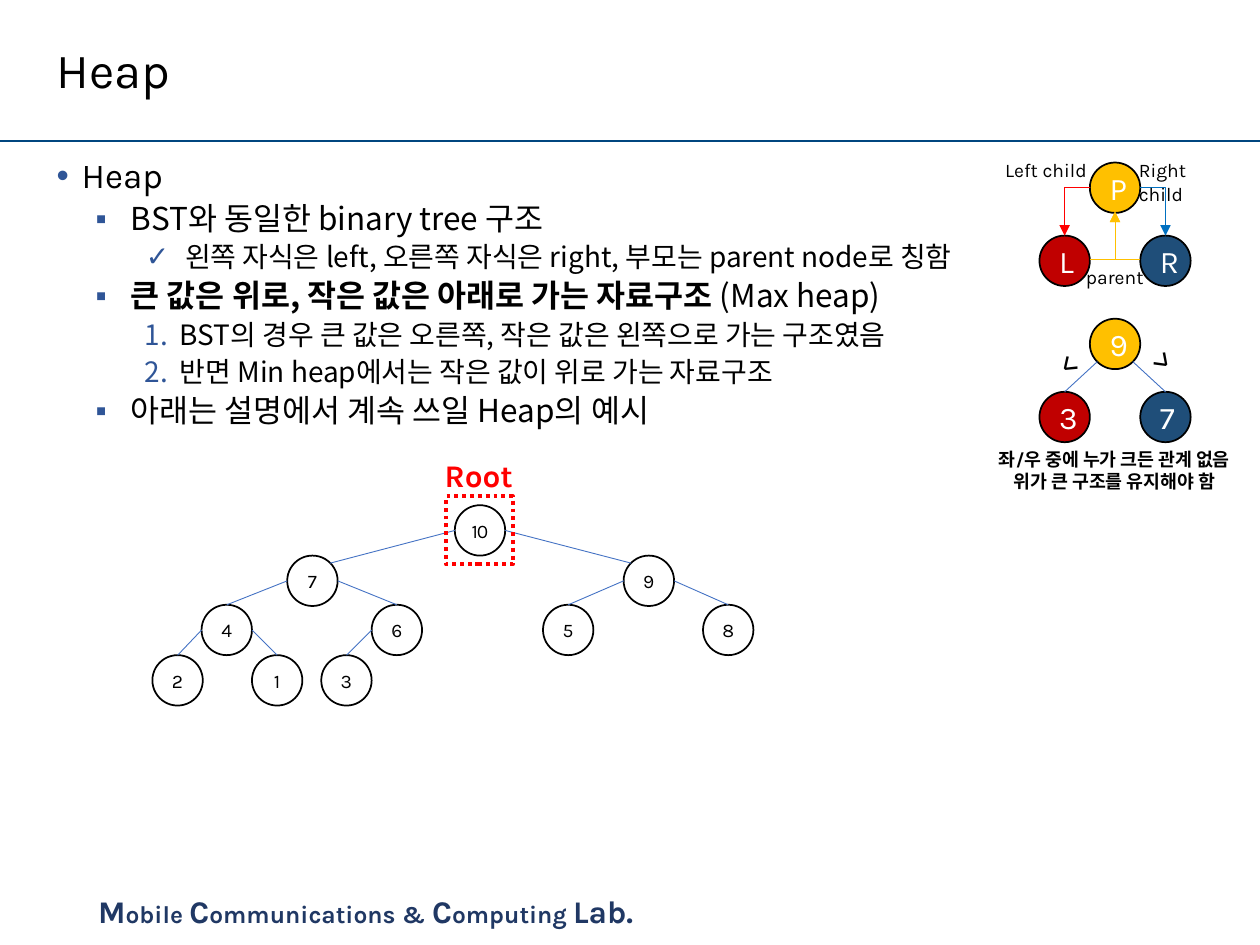
from lxml import etree
from pptx import Presentation
from pptx import util as u
from pptx.dml.color import RGBColor
from pptx.enum import dml, shapes, text
from pptx.oxml.ns import qn

BLACK = RGBColor(0x00, 0x00, 0x00)
WHITE = RGBColor(0xFF, 0xFF, 0xFF)
NAVY = RGBColor(0x20, 0x38, 0x64)
RULE_BLUE = RGBColor(0x00, 0x46, 0x7F)
EDGE_BLUE = RGBColor(0x44, 0x72, 0xC4)
ARROW_BLUE = RGBColor(0x00, 0x70, 0xC0)
DARK_BLUE = RGBColor(0x1F, 0x4E, 0x79)
YELLOW = RGBColor(0xFF, 0xC0, 0x00)
DARK_RED = RGBColor(0xC0, 0x00, 0x00)
RED = RGBColor(0xFF, 0x00, 0x00)
BULLET_COLOR = "2F5597"
LATIN, KOREAN = "Karla", "Noto Sans CJK KR"
RADIUS = 0.2


def write(paragraph, words, size=18, color=BLACK, bold=False, font=LATIN,
          align=text.PP_ALIGN.LEFT, spacing=0):
    run = paragraph.add_run()
    run.text = words
    run.font.size, run.font.bold, run.font.name = u.Pt(size), bold, font
    run.font.color.rgb = color
    properties = run.font._element
    etree.SubElement(properties, qn("a:ea"), typeface=KOREAN)
    if spacing:
        properties.set("spc", str(int(spacing * 100)))
    paragraph.alignment = align


def connect(start, end, color=EDGE_BLUE, width=0.5, arrow=False):
    line = slide.shapes.add_connector(
        shapes.MSO_CONNECTOR.ELBOW if arrow else shapes.MSO_CONNECTOR.STRAIGHT,
        *[u.Inches(value) for value in (*start, *end)])
    line.line.color.rgb = color
    line.line.width = u.Pt(width)
    properties = line._element.spPr
    if arrow:  # one bend and an arrowhead at the end
        properties.find(qn("a:prstGeom")).set("prst", "bentConnector2")
        etree.SubElement(line.line._get_or_add_ln(), qn("a:tailEnd"), type="triangle")
    etree.SubElement(properties, qn("a:effectLst"))


presentation = Presentation()
presentation.slide_width, presentation.slide_height = u.Inches(10), u.Inches(7.5)
slide = presentation.slides.add_slide(presentation.slide_layouts[5])

# Title and the rule below it
title = slide.shapes.title
title.left, title.top = u.Inches(0.35), u.Inches(0.14)
title.width, title.height = u.Inches(9.31), u.Inches(0.88)
title.text_frame.vertical_anchor = text.MSO_ANCHOR.MIDDLE
title.text_frame.paragraphs[0].line_spacing = 0.9
write(title.text_frame.paragraphs[0], "Heap", size=28)
connect((0, 1.12), (10, 1.12), RULE_BLUE, 1.5)

# Footer with large initials
footer = slide.shapes.add_textbox(u.Inches(0.68), u.Inches(7.03), u.Inches(4.53), u.Inches(0.4))
footer.text_frame.word_wrap = True
for words, size in [("M", 18), ("obile ", 14), ("C", 18), ("ommunications & ", 14),
                    ("C", 18), ("omputing ", 14), ("Lab.", 18)]:
    write(footer.text_frame.paragraphs[0], words, size=size, color=NAVY, bold=True)

# Bulleted explanation: kind, bold part, plain part
bullet_styles = {  # level, left margin, hanging indent, size, space before
    "•": (0, 0.2, 0.28, 20, 7.5),
    "▪": (1, 0.59, 0.28, 18, 3.8),
    "✓": (2, 1.02, 0.31, 16, 3.8),
    "1.": (2, 0.98, 0.28, 16, 3.8),
}
body_lines = [
    ("•", "", "Heap"),
    ("▪", "", "BST와 동일한 binary tree 구조"),
    ("✓", "", "왼쪽 자식은 left, 오른쪽 자식은 right, 부모는 parent node로 칭함"),
    ("▪", "큰 값은 위로, 작은 값은 아래로 가는 자료구조 ", "(Max heap)"),
    ("1.", "", "BST의 경우 큰 값은 오른쪽, 작은 값은 왼쪽으로 가는 구조였음"),
    ("1.", "", "반면 Min heap에서는 작은 값이 위로 가는 자료구조"),
    ("▪", "", "아래는 설명에서 계속 쓰일 Heap의 예시"),
]
body = slide.shapes.add_textbox(u.Inches(0.35), u.Inches(1.21), u.Inches(9.31), u.Inches(5.44))
body.text_frame.word_wrap = True
for index, (bullet, strong, plain) in enumerate(body_lines):
    level, margin, hanging, size, before = bullet_styles[bullet]
    paragraph = body.text_frame.add_paragraph() if index else body.text_frame.paragraphs[0]
    paragraph.level = level
    paragraph.line_spacing, paragraph.space_before = 0.9, u.Pt(before)
    font = KOREAN if level else LATIN
    if strong:
        write(paragraph, strong, size=size, bold=True, font=font)
    write(paragraph, plain, size=size, font=font)
    properties = paragraph._p.get_or_add_pPr()
    properties.set("marL", str(u.Inches(margin)))
    properties.set("indent", str(-u.Inches(hanging)))
    bullet_color = etree.SubElement(properties, qn("a:buClr"))
    etree.SubElement(bullet_color, qn("a:srgbClr"), val=BULLET_COLOR)
    if bullet == "1.":
        etree.SubElement(properties, qn("a:buFont"), typeface=KOREAN)
        etree.SubElement(properties, qn("a:buAutoNum"), type="arabicPeriod")
    else:
        etree.SubElement(properties, qn("a:buFont"), typeface="Arial")
        etree.SubElement(properties, qn("a:buChar"), char=bullet)

# Nodes: label, centre, fill (the example heap has no fill)
key_nodes = [
    (label, x, top + drop, fill)
    for top, labels in ((1.49, "PLR"), (2.73, "937"))
    for label, x, drop, fill in zip(labels, (8.85, 8.45, 9.25), (0, 0.58, 0.58),
                                    (YELLOW, DARK_RED, DARK_BLUE))
]
heap = [  # in level order, so the children of i are 2i + 1 and 2i + 2
    ("10", 3.81, 4.21), ("7", 2.48, 4.61), ("9", 5.15, 4.61),
    ("4", 1.8, 5.0), ("6", 3.15, 5.0), ("5", 4.51, 5.0), ("8", 5.78, 5.0),
    ("2", 1.41, 5.4), ("1", 2.2, 5.4), ("3", 2.75, 5.4),
]
for label, x, y, fill in key_nodes + [(*node, None) for node in heap]:
    node = slide.shapes.add_shape(
        shapes.MSO_SHAPE.OVAL, u.Inches(x - RADIUS), u.Inches(y - RADIUS),
        u.Inches(2 * RADIUS), u.Inches(2 * RADIUS))
    node.shadow.inherit = False
    node.line.color.rgb, node.line.width = BLACK, u.Pt(1)
    frame = node.text_frame
    frame.vertical_anchor = text.MSO_ANCHOR.MIDDLE
    if fill:
        node.fill.solid()
        node.fill.fore_color.rgb = fill
        write(frame.paragraphs[0], label, color=WHITE, align=text.PP_ALIGN.CENTER)
    else:
        node.fill.background()
        frame.margin_left = frame.margin_right = frame.margin_top = frame.margin_bottom = 0
        write(frame.paragraphs[0], label, size=11, align=text.PP_ALIGN.CENTER, spacing=-0.5)

# Edges of the example heap
for child in range(1, len(heap)):
    _, parent_x, parent_y = heap[(child - 1) // 2]
    _, x, y = heap[child]
    side = 1 if x > parent_x else -1
    end = (x - side * 0.14, y - 0.14) if child < 3 else (x, y - RADIUS)
    connect((parent_x + side * RADIUS, parent_y), end)

# Arrows and edges of the two small trees
for side, color in ((-1, RED), (1, ARROW_BLUE)):
    connect((8.85 + side * 0.2, 1.49), (8.85 + side * 0.4, 1.87), color, arrow=True)
    connect((8.85 + side * 0.2, 2.06), (8.85, 1.68), YELLOW, arrow=True)
    connect((8.85 + side * 0.14, 2.87), (8.85 + side * 0.4, 3.11))

# Frame around the root
root_frame = slide.shapes.add_shape(
    shapes.MSO_SHAPE.RECTANGLE, u.Inches(3.54), u.Inches(3.94), u.Inches(0.53), u.Inches(0.54))
root_frame.shadow.inherit = False
root_frame.fill.background()
root_frame.line.color.rgb, root_frame.line.width = RED, u.Pt(2.25)
root_frame.line.dash_style = dml.MSO_LINE.ROUND_DOT

# Labels: lines, box, rotation, wrap, format
centered = {"size": 10.5, "bold": True, "align": text.PP_ALIGN.CENTER}
labels = [
    (["parent"], (8.52, 2.06, 0.66, 0.29), 0, False, {"size": 11}),
    (["Left child"], (7.88, 1.21, 0.87, 0.29), 0, False, {"size": 11}),
    (["Right child"], (8.94, 1.21, 0.94, 0.29), 0, True, {"size": 11}),
    (["<"], (8.31, 2.68, 0.34, 0.4), 318.5, False, {}),
    (["<"], (9.04, 2.68, 0.34, 0.4), 223.6, False, {}),
    (["좌/우 중에 누가 크든 관계 없음", "위가 큰 구조를 유지해야 함"],
     (7.72, 3.51, 2.25, 0.45), 0, False, centered),
    (["Root"], (3.43, 3.57, 0.74, 0.4), 0, False, {"color": RED, "bold": True}),
]
for lines, box, rotation, wrap, style in labels:
    label = slide.shapes.add_textbox(*[u.Inches(value) for value in box])
    label.rotation = rotation
    label.text_frame.word_wrap = wrap
    for index, words in enumerate(lines):
        paragraph = label.text_frame.add_paragraph() if index else label.text_frame.paragraphs[0]
        write(paragraph, words, **style)

presentation.save("out.pptx")
